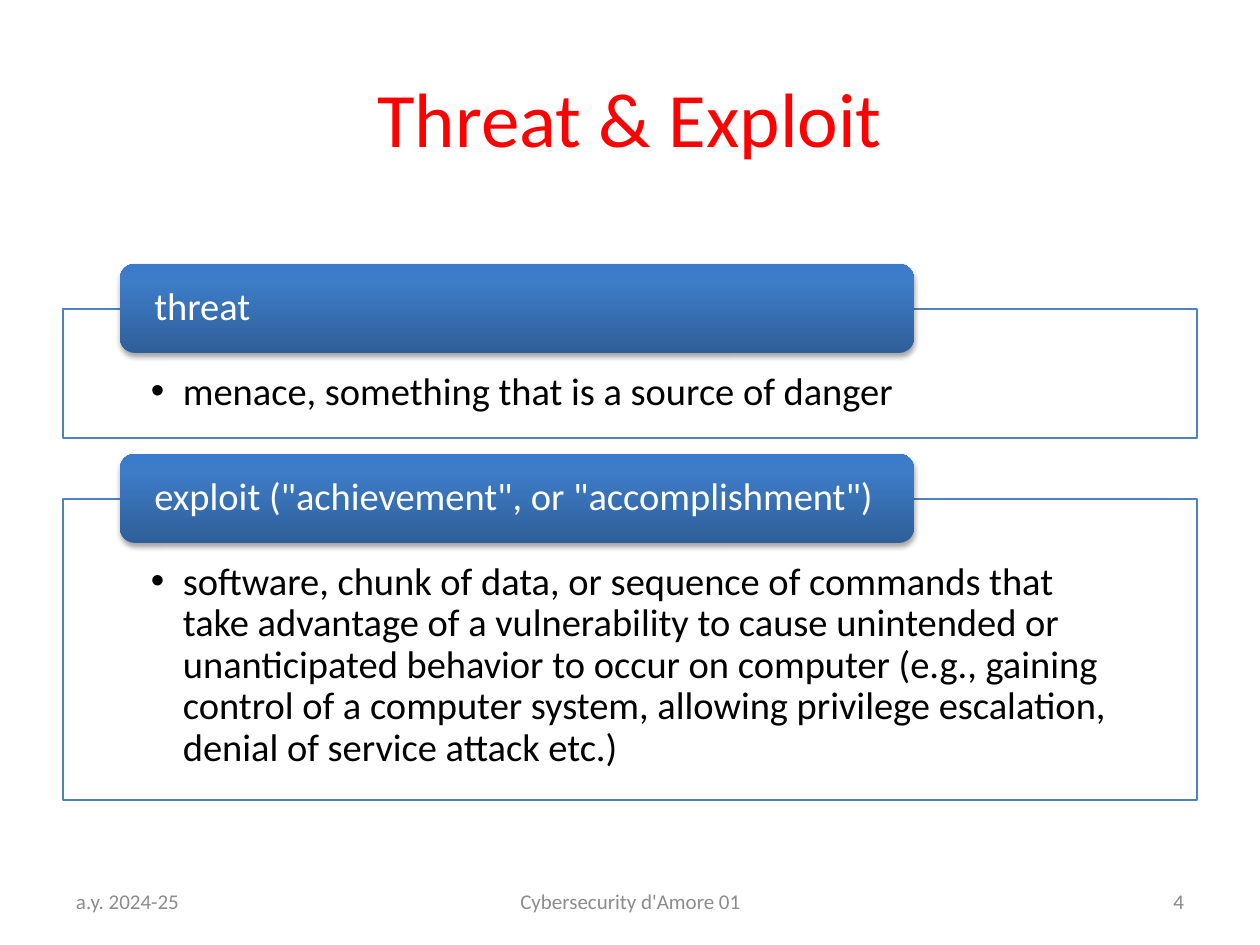
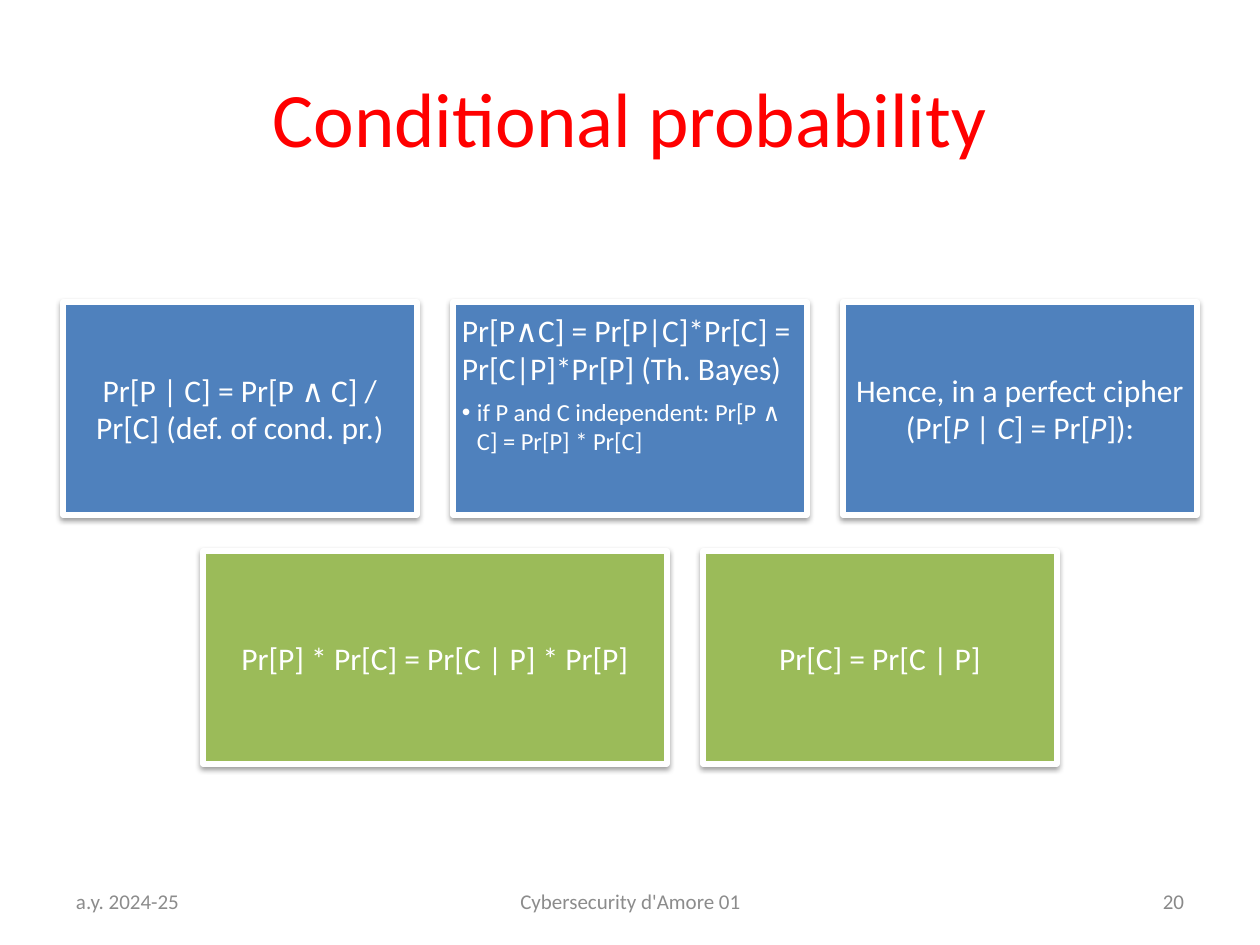
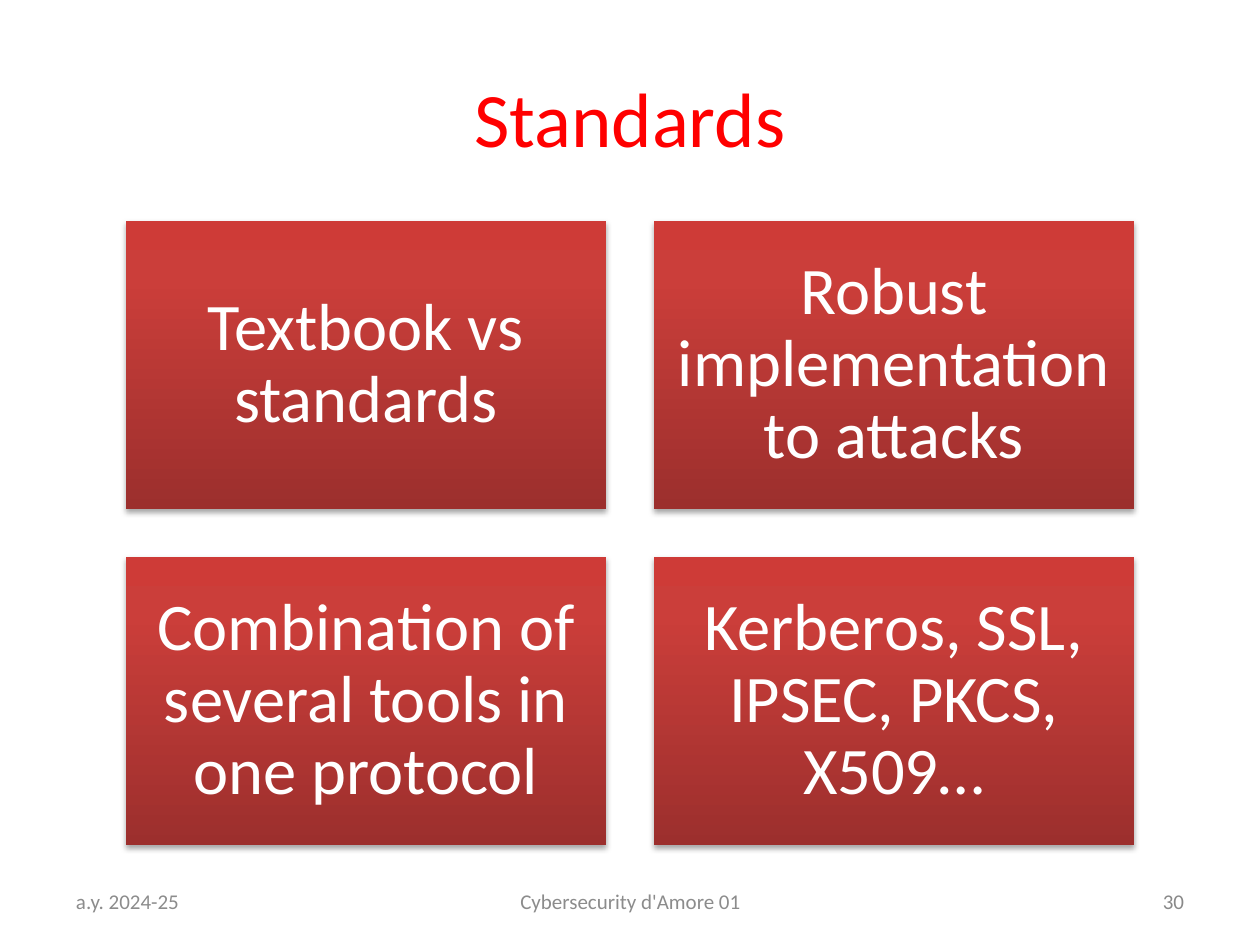
from pptx import Presentation
from pptx.dml.color import RGBColor
from pptx.enum.shapes import MSO_SHAPE
from pptx.enum.text import MSO_ANCHOR, PP_ALIGN
from pptx.oxml import parse_xml
from pptx.oxml.ns import nsdecls, qn
from pptx.util import Emu, Pt

SCALE = 914400 / 126
PAGE_WIDTH, PAGE_HEIGHT = 1260, 945
FONT = "Calibri"
RED, WHITE, BLACK = "FF0000", "FFFFFF", "000000"
BLUE, GREEN = "4F81BD", "9BBB59"
BLUE_GRADIENT = {0: "2F5F99", 80: "3D7CC7", 100: "3A7CCB"}
RED_GRADIENT = {0: "9C2F2D", 80: "CB3E3A", 100: "CE3B37"}
RAISED_SHADOW = {"opacity": 35, "distance": 1.8}
CARD_SHADOW = {"opacity": 38, "distance": 1.6}
TITLE_AREA = (63, 38, 1134, 158)
FOOTER_TOP, FOOTER_HEIGHT = 876, 50
FRAME_LEFT, FRAME_WIDTH = 63, 1134
LABEL_LEFT, LABEL_WIDTH, LABEL_HEIGHT, LABEL_RISE = 120, 794, 89, 45


def px(length):
    """Turn px into EMU."""
    return Emu(round(length * SCALE))


def color(code):
    """Turn a hex string into a colour."""
    return RGBColor.from_string(code)


def apply(target, values):
    """Set attributes of an object from a dict."""
    for name, value in values.items():
        setattr(target, name, value)


def setup_text(shape, insets=(13, 6, 13, 6), anchor=MSO_ANCHOR.MIDDLE):
    """Set wrapping, anchor and insets, and return the text frame."""
    frame = shape.text_frame
    sides = ("margin_left", "margin_top", "margin_right", "margin_bottom")
    apply(frame, {"word_wrap": True, "vertical_anchor": anchor})
    apply(frame, dict(zip(sides, map(px, insets))))
    return frame


def write(para, text, size, code, bullet_indent=0, **layout):
    """Fill a paragraph; parts between underscores are italic."""
    if bullet_indent:
        props = para._p.get_or_add_pPr()
        props.set("marL", str(px(bullet_indent)))
        props.set("indent", str(-px(bullet_indent)))
        props.append(parse_xml(f'<a:buFont {nsdecls("a")} typeface="Arial"/>'))
        props.append(parse_xml(f'<a:buChar {nsdecls("a")} char="•"/>'))
    apply(para, layout)
    for index, part in enumerate(text.split("_")):
        span = para.add_run()
        span.text = part
        apply(span.font, {"name": FONT, "size": Pt(size)})
        if index % 2:
            span.font.italic = True
        span.font.color.rgb = color(code)


def add_box(page, area, kind=MSO_SHAPE.RECTANGLE, fill=None, line=None, width=0.75):
    """Add a preset shape with an optional plain fill and outline."""
    box = page.shapes.add_shape(kind, *map(px, area))
    box.shadow.inherit = False
    if fill:
        box.fill.solid()
        box.fill.fore_color.rgb = color(fill)
    if line:
        box.line.color.rgb = color(line)
        box.line.width = Pt(width)
    else:
        box.line.fill.background()
    return box


def add_gradient(box, stops):
    """Fill a shape with a gradient that runs from bottom to top."""
    marks = "".join(
        f'<a:gs pos="{place * 1000}"><a:srgbClr val="{code}"/></a:gs>'
        for place, code in stops.items()
    )
    box.element.spPr.insert(2, parse_xml(
        f'<a:gradFill {nsdecls("a")} rotWithShape="1"><a:gsLst>{marks}</a:gsLst>'
        '<a:lin ang="16200000" scaled="0"/></a:gradFill>'
    ))


def add_shadow(box, opacity, distance):
    """Give a shape a soft shadow below it."""
    box.element.spPr.find(qn("a:effectLst")).append(parse_xml(
        f'<a:outerShdw {nsdecls("a")} blurRad="{Pt(3.1)}" dist="{Pt(distance)}" '
        f'dir="5400000" rotWithShape="0"><a:srgbClr val="{BLACK}">'
        f'<a:alpha val="{opacity * 1000}"/></a:srgbClr></a:outerShdw>'
    ))


def add_page(deck, title, number):
    """Add a page with its title and footers."""
    page = deck.slides.add_slide(deck.slide_layouts[5])
    heading = page.shapes.title
    apply(heading, dict(zip(("left", "top", "width", "height"), map(px, TITLE_AREA))))
    write(setup_text(heading).paragraphs[0], title, 44, RED, alignment=PP_ALIGN.CENTER)
    footers = (
        (63, 294, "a.y. 2024-25", "8C8C8C", PP_ALIGN.LEFT),
        (431, 399, "Cybersecurity d'Amore 01", "8C8C8C", PP_ALIGN.CENTER),
        (903, 294, str(number), "898989", PP_ALIGN.RIGHT),
    )
    for left, width, text, code, alignment in footers:
        box = page.shapes.add_textbox(*map(px, (left, FOOTER_TOP, width, FOOTER_HEIGHT)))
        write(setup_text(box).paragraphs[0], text, 12, code, alignment=alignment)
    return page


def add_definition(page, top, height, term, meaning):
    """Add a framed meaning with its term on the upper edge."""
    frame = add_box(page, (FRAME_LEFT, top, FRAME_WIDTH, height), fill=WHITE, line=BLUE)
    fill_code = frame.element.spPr.find(qn("a:solidFill"))[0]
    fill_code.append(parse_xml(f'<a:alpha {nsdecls("a")} val="90000"/>'))
    body = setup_text(frame, (88, 63, 88, 21), MSO_ANCHOR.TOP)
    write(body.paragraphs[0], meaning, 22, BLACK, bullet_indent=32,
          line_spacing=0.9, alignment=PP_ALIGN.LEFT)
    area = (LABEL_LEFT, top - LABEL_RISE, LABEL_WIDTH, LABEL_HEIGHT)
    label = add_box(page, area, MSO_SHAPE.ROUNDED_RECTANGLE)
    add_gradient(label, BLUE_GRADIENT)
    add_shadow(label, **RAISED_SHADOW)
    write(setup_text(label, (30, 0, 30, 0)).paragraphs[0], term, 22, WHITE,
          line_spacing=0.9, alignment=PP_ALIGN.LEFT)


def row_areas(top, widths, height, gap):
    """Yield the areas of a row of boxes centred on the page."""
    left = (PAGE_WIDTH - sum(widths) - gap * (len(widths) - 1)) // 2
    for width in widths:
        yield left, top, width, height
        left += width + gap


def add_card(page, area, fill, text, detail=None):
    """Add a formula card, with a bullet under the formula if there is a detail."""
    card = add_box(page, area, fill=fill, line=WHITE, width=3)
    add_shadow(card, **CARD_SHADOW)
    anchor = MSO_ANCHOR.TOP if detail else MSO_ANCHOR.MIDDLE
    alignment = PP_ALIGN.LEFT if detail else PP_ALIGN.CENTER
    frame = setup_text(card, (9, 9, 9, 9), anchor)
    write(frame.paragraphs[0], text, 18, WHITE, alignment=alignment)
    if detail:
        frame.paragraphs[0].space_after = Pt(6)
        write(frame.add_paragraph(), detail, 14, WHITE, bullet_indent=15,
              alignment=alignment)


def add_topic(page, area, text):
    """Add a red topic tile."""
    tile = add_box(page, area)
    add_gradient(tile, RED_GRADIENT)
    add_shadow(tile, **RAISED_SHADOW)
    write(setup_text(tile, (20, 20, 20, 20)).paragraphs[0], text, 38, WHITE,
          line_spacing=0.9, alignment=PP_ALIGN.CENTER)


def build_threat(deck):
    """Build the page that defines threat and exploit."""
    page = add_page(deck, "Threat & Exploit", 4)
    add_definition(page, 309, 129, "threat", "menace, something that is a source of danger")
    add_definition(
        page, 499, 301, 'exploit ("achievement", or "accomplishment")',
        "software, chunk of data, or sequence of commands that take advantage of a "
        "vulnerability to cause unintended or unanticipated behavior to occur on computer "
        "(e.g., gaining control of a computer system, allowing privilege escalation, "
        "denial of service attack etc.)",
    )


def build_probability(deck):
    """Build the page of probability formulas."""
    page = add_page(deck, "Conditional probability", 20)
    height, gap, top = 213, 36, 302
    premises = (
        ("Pr[P | C] = Pr[P ∧ C] / Pr[C] (def. of cond. pr.)",),
        ("Pr[P∧C] = Pr[P|C]*Pr[C] = Pr[C|P]*Pr[P] (Th. Bayes)",
         "if P and C independent: Pr[P ∧ C] = Pr[P] * Pr[C]"),
        ("Hence, in a perfect cipher (Pr[_P_ | _C_] = Pr[_P_]):",),
    )
    results = (("Pr[P] * Pr[C] = Pr[C | P] * Pr[P]",), ("Pr[C] = Pr[C | P]",))
    rows = ((BLUE, (354, 354, 354), premises), (GREEN, (464, 354), results))
    for index, (fill, widths, cards) in enumerate(rows):
        areas = row_areas(top + index * (height + gap), widths, height, gap)
        for area, texts in zip(areas, cards):
            add_card(page, area, fill, *texts)


def build_standards(deck):
    """Build the page of topics on standards."""
    page = add_page(deck, "Standards", 30)
    width, height, gap, top = 480, 288, 48, 221
    rows = (
        ("Textbook vs standards", "Robust implementation to attacks"),
        ("Combination of several tools in one protocol", "Kerberos, SSL, IPSEC, PKCS, X509…"),
    )
    for index, topics in enumerate(rows):
        areas = row_areas(top + index * (height + gap), (width, width), height, gap)
        for area, text in zip(areas, topics):
            add_topic(page, area, text)


def main():
    """Build the deck and save it."""
    deck = Presentation()
    apply(deck, {"slide_width": px(PAGE_WIDTH), "slide_height": px(PAGE_HEIGHT)})
    build_threat(deck)
    build_probability(deck)
    build_standards(deck)
    deck.save("out.pptx")


if __name__ == "__main__":
    main()
